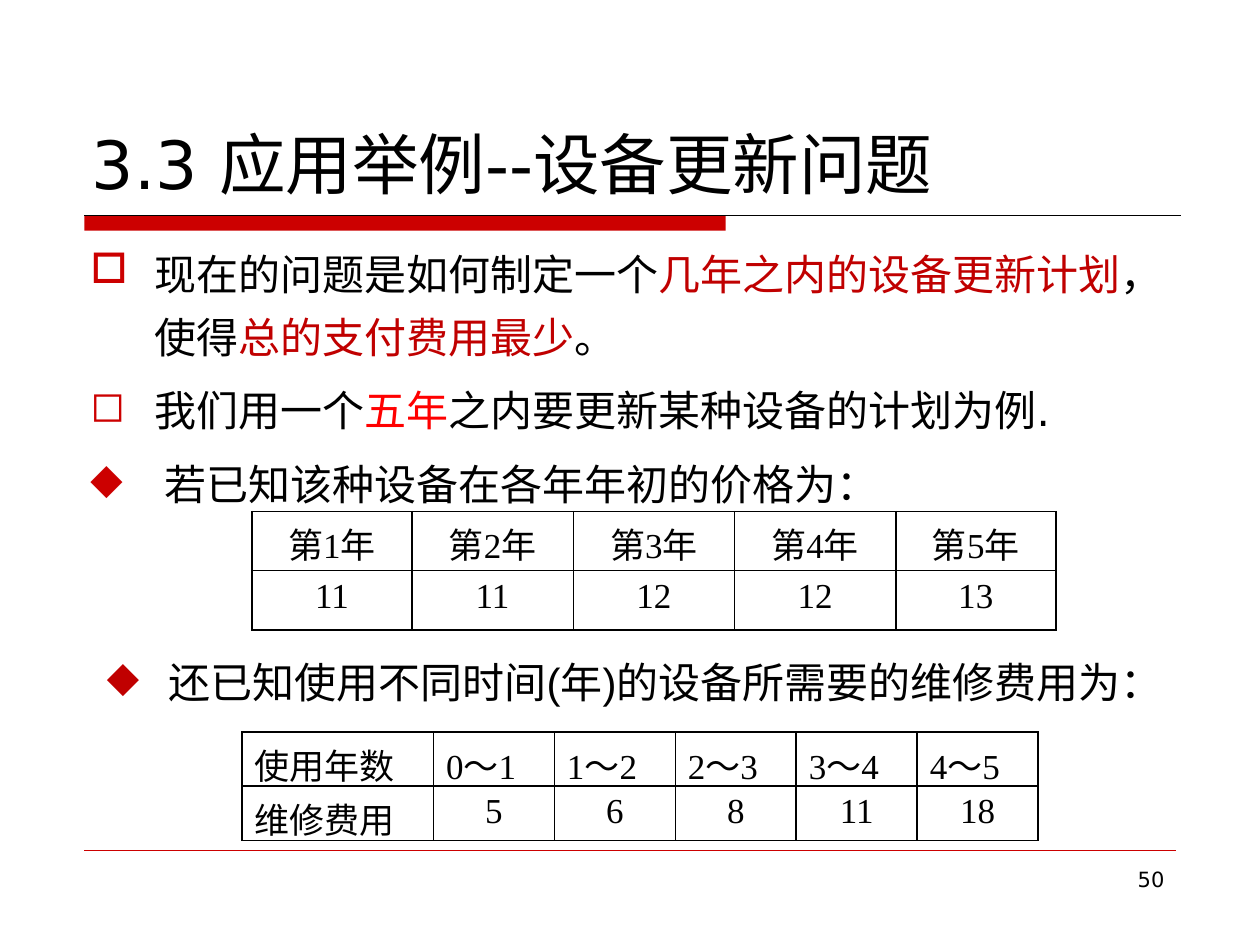
from pptx import Presentation
from pptx.dml.color import RGBColor
from pptx.enum.shapes import MSO_CONNECTOR, MSO_SHAPE
from pptx.enum.text import MSO_ANCHOR, PP_ALIGN
from pptx.oxml.ns import qn
from pptx.util import Inches, Pt
from lxml import etree

LEFT, CENTER, RIGHT = PP_ALIGN.LEFT, PP_ALIGN.CENTER, PP_ALIGN.RIGHT
BOTTOM = MSO_ANCHOR.BOTTOM
STRAIGHT, RECTANGLE = MSO_CONNECTOR.STRAIGHT, MSO_SHAPE.RECTANGLE

THEME = {
    "text": "000000", "accent": "CC0000", "key": "C00000", "alert": "FF0000",
    "sans": "DejaVu Sans", "arial": "Arial", "serif": "Times New Roman",
    "title": 38, "body": 24, "table": 20, "number": 12,
}

TITLE = "3.3 应用举例--设备更新问题"
PAGE_NUMBER = "50"
POINTS = [
    ("□", 0.51, [("现在的问题是如何制定一个", "text"), ("几年之内的设备更新计划", "key"),
                 ("，使得", "text"), ("总的支付费用最少", "key"), ("。", "text")]),
    ("◻", 0.51, [("我们用一个", "text"), ("五年", "alert"),
                 ("之内要更新某种设备的计划为例.", "text")]),
    ("◆", 0.59, [("若已知该种设备在各年年初的价格为：", "text")]),
]
REPAIR_POINT = [("还已知使用不同时间(年)的设备所需要的维修费用为：", "text")]
PRICES = [
    ["第1年", "第2年", "第3年", "第4年", "第5年"],
    ["11", "11", "12", "12", "13"],
]
REPAIRS = [
    ["使用年数", "0～1", "1～2", "2～3", "3～4", "4～5"],
    ["维修费用", "5", "6", "8", "11", "18"],
]


def color(name):
    return RGBColor.from_string(THEME[name])


def style(font, face, size, tint="text"):
    font.name = THEME[face]
    font.size = Pt(THEME[size])
    font.color.rgb = color(tint)


def add_box(page, left, top, width, height):
    box = page.shapes.add_textbox(Inches(left), Inches(top), Inches(width), Inches(height))
    box.text_frame.word_wrap = True
    return box.text_frame


def add_bullet(para, symbol, indent, tint):
    props = para._p.get_or_add_pPr()
    props.set("marL", str(Inches(indent)))
    props.set("indent", str(-Inches(indent)))
    holder = etree.SubElement(props, qn("a:buClr"))
    etree.SubElement(holder, qn("a:srgbClr"), val=THEME[tint])
    etree.SubElement(props, qn("a:buChar"), char=symbol)


def add_spans(para, spans, face):
    for text, tint in spans:
        span = para.add_run()
        span.text = text
        style(span.font, face, "body", tint)


def add_rule(page, left, right, top, tint, weight):
    rule = page.shapes.add_connector(STRAIGHT, Inches(left), Inches(top), Inches(right), Inches(top))
    rule.line.color.rgb = color(tint)
    rule.line.width = Pt(weight)
    etree.SubElement(rule._element.spPr, qn("a:effectLst"))


def add_borders(cell):
    props = cell._tc.get_or_add_tcPr()
    for side in ("a:lnL", "a:lnR", "a:lnT", "a:lnB"):
        line = etree.SubElement(props, qn(side), w=str(Pt(1)))
        fill = etree.SubElement(line, qn("a:solidFill"))
        etree.SubElement(fill, qn("a:srgbClr"), val=THEME["text"])


def add_grid(page, rows, left, top, widths, height, bottom_margin, is_centered):
    frame = page.shapes.add_table(len(rows), len(widths), Inches(left), Inches(top),
                                  Inches(sum(widths)), Inches(height * len(rows)))
    table = frame.table
    table.first_row = table.horz_banding = False
    for column, width in zip(table.columns, widths):
        column.width = Inches(width)
    for r, values in enumerate(rows):
        table.rows[r].height = Inches(height)
        for c, value in enumerate(values):
            cell = table.cell(r, c)
            cell.text = value
            cell.margin_bottom = Inches(bottom_margin)
            para = cell.text_frame.paragraphs[0]
            para.alignment = CENTER if is_centered(r, c) else LEFT
            style(para.runs[0].font, "serif", "table")
            add_borders(cell)
            cell.fill.background()


def main():
    deck = Presentation()
    deck.slide_width, deck.slide_height = Inches(10), Inches(7.5)
    page = deck.slides.add_slide(deck.slide_layouts[5])

    bar = page.shapes.add_shape(RECTANGLE, Inches(0.67), Inches(1.71), Inches(5.09), Inches(0.12))
    bar.shadow.inherit = False
    bar.fill.solid()
    bar.fill.fore_color.rgb = color("accent")
    bar.line.fill.background()
    add_rule(page, 0.67, 9.37, 1.71, "text", 0.75)
    add_rule(page, 0.67, 9.33, 6.75, "accent", 0.25)

    title = page.shapes.title
    title.left, title.top = Inches(0.63), Inches(0.33)
    title.width, title.height = Inches(8.75), Inches(1.33)
    title.text_frame.text = TITLE
    title.text_frame.vertical_anchor = BOTTOM
    para = title.text_frame.paragraphs[0]
    para.alignment = LEFT
    style(para.runs[0].font, "sans", "title")

    body = add_box(page, 0.62, 1.82, 8.76, 2.18)
    for i, (symbol, indent, spans) in enumerate(POINTS):
        para = body.add_paragraph() if i else body.paragraphs[0]
        para.line_spacing = 1.25
        if i:
            para.space_before = Pt(6)
        add_bullet(para, symbol, indent, "accent")
        add_spans(para, spans, "sans")

    add_grid(page, PRICES, 2, 4.06, [1.27, 1.28, 1.28, 1.28, 1.27], 0.47, 0.05,
             lambda r, c: True)

    para = add_box(page, 0.75, 5.16, 8.63, 0.5).paragraphs[0]
    add_bullet(para, "◆", 0.49, "key")
    add_spans(para, REPAIR_POINT, "arial")

    add_grid(page, REPAIRS, 1.92, 5.81, [1.52] + [0.96] * 5, 0.43, 0,
             lambda r, c: r > 0 and c > 0)

    number = add_box(page, 7.17, 6.83, 2.17, 0.52)
    number.text = PAGE_NUMBER
    number.paragraphs[0].alignment = RIGHT
    style(number.paragraphs[0].runs[0].font, "sans", "number")

    deck.save("out.pptx")


if __name__ == "__main__":
    main()
